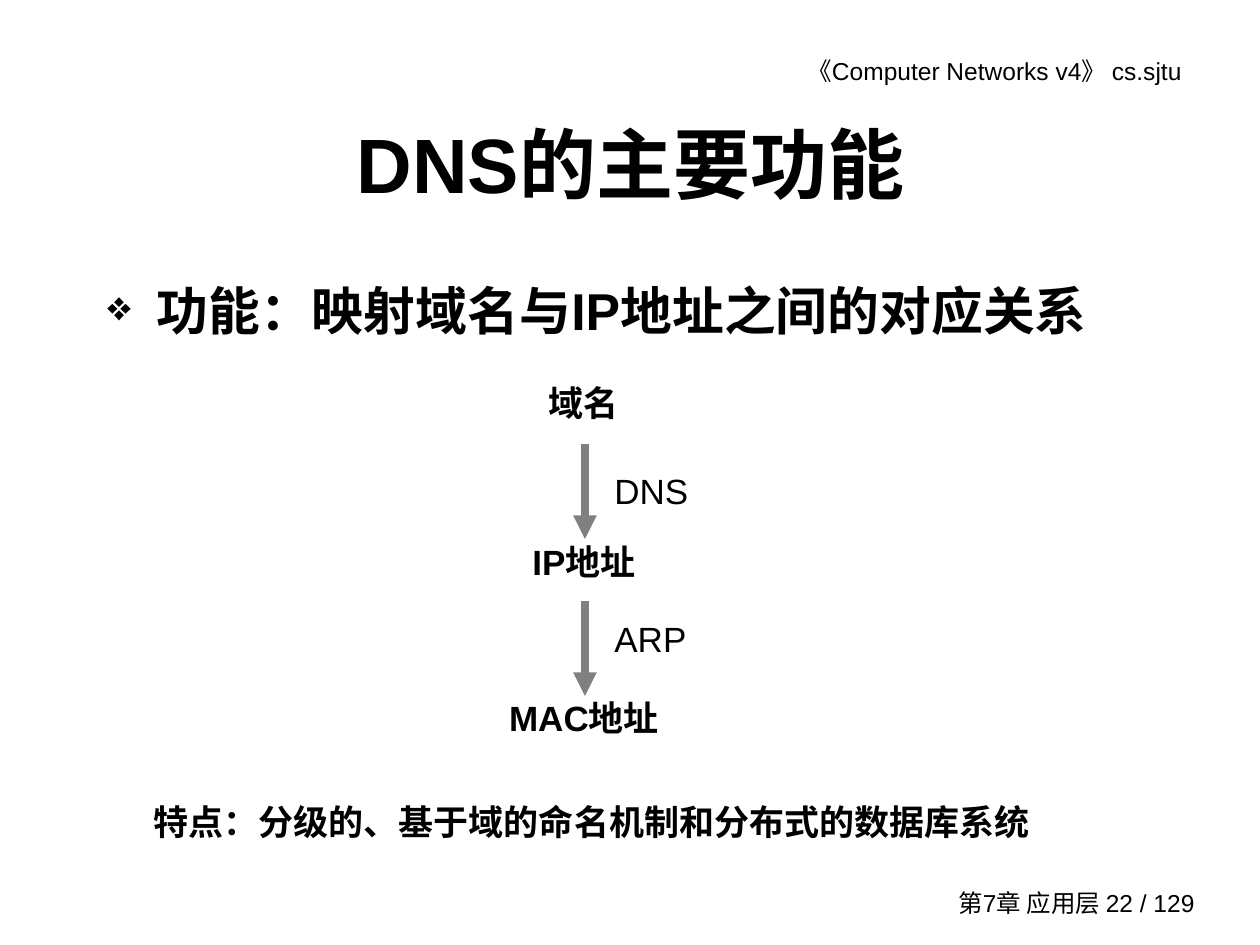
import pptx
import pptx.util
import pptx.dml.color
import pptx.enum.shapes
import pptx.enum.text
import pptx.oxml.ns
from lxml import etree

PX_PER_INCH = 126
FONT = "Arial"
BLACK = "000000"
GRAY = "808080"
ALIGN = pptx.enum.text.PP_ALIGN
ANCHOR = pptx.enum.text.MSO_ANCHOR


def px(length):
    return pptx.util.Emu(round(length * 914400 / PX_PER_INCH))


def color(hex_value):
    return pptx.dml.color.RGBColor.from_string(hex_value)


def add_element(parent, tag, **attributes):
    return etree.SubElement(parent, pptx.oxml.ns.qn(tag), attributes)


def add_line_of_text(paragraph, text, size, bold=False, align=ALIGN.LEFT):
    paragraph.alignment = align
    run = paragraph.add_run()
    run.text = text
    run.font.name = FONT
    run.font.size = pptx.util.Pt(size)
    run.font.bold = bold
    run.font.color.rgb = color(BLACK)


def add_frame(shapes, left, top, width, height, anchor=ANCHOR.TOP):
    frame = shapes.add_textbox(px(left), px(top), px(width), px(height)).text_frame
    frame.word_wrap = True
    frame.vertical_anchor = anchor
    return frame


def add_text(shapes, box, text, size, bold=False, align=ALIGN.LEFT, anchor=ANCHOR.TOP):
    frame = add_frame(shapes, *box, anchor=anchor)
    add_line_of_text(frame.paragraphs[0], text, size, bold, align)


def add_bullet_text(shapes, box, text, size, indent):
    paragraph = add_frame(shapes, *box).paragraphs[0]
    properties = paragraph._p.get_or_add_pPr()
    properties.set("marL", str(px(indent)))
    properties.set("indent", str(-px(indent)))
    bullet_color = add_element(properties, "a:buClr")
    add_element(bullet_color, "a:srgbClr", val=BLACK)
    add_element(properties, "a:buSzPct", val="80000")
    add_element(properties, "a:buChar", char="❖")
    add_line_of_text(paragraph, text, size, bold=True)


def add_stages(shapes, box, stages):
    """Stack centred stage names; each comes with its space before in points."""
    frame = add_frame(shapes, *box)
    for index, (name, space_before) in enumerate(stages):
        paragraph = frame.add_paragraph() if index else frame.paragraphs[0]
        paragraph.space_before = pptx.util.Pt(space_before)
        if index < len(stages) - 1:
            paragraph.line_spacing = 0.96
        add_line_of_text(paragraph, name, 20, bold=True, align=ALIGN.CENTER)


def add_down_arrow(shapes, x, top, length):
    arrow = shapes.add_connector(
        pptx.enum.shapes.MSO_CONNECTOR.STRAIGHT, px(x), px(top), px(x), px(top + length))
    arrow.line.color.rgb = color(GRAY)
    arrow.line.width = pptx.util.Pt(4.5)
    add_element(arrow.line._get_or_add_ln(), "a:tailEnd", type="triangle")
    add_element(arrow._element.spPr, "a:effectLst")


def add_mapping_diagram(shapes):
    diagram = shapes.add_group_shape().shapes
    add_stages(diagram, (460, 378, 248, 388),
               [("域名", 0), ("IP地址", 68), ("MAC地址", 64.5)])
    # Each step down is an arrow with its protocol beside it
    for protocol, arrow_top, label_top in [("DNS", 444, 463), ("ARP", 601, 611)]:
        add_down_arrow(diagram, 585, arrow_top, 95)
        add_text(diagram, (602, label_top, 128, 51), protocol, 20)


def main():
    deck = pptx.Presentation()
    deck.slide_width, deck.slide_height = px(1260), px(945)
    shapes = deck.slides.add_slide(deck.slide_layouts[6]).shapes

    # Running header and footer
    add_text(shapes, (651, 50, 543, 43), "《Computer Networks v4》 cs.sjtu", 14,
             align=ALIGN.RIGHT)
    add_text(shapes, (922, 882, 285, 42), "第7章 应用层 22 / 129", 14,
             align=ALIGN.RIGHT, anchor=ANCHOR.MIDDLE)

    # Title and main point
    add_text(shapes, (95, 84, 1071, 158), "DNS的主要功能", 44, bold=True,
             align=ALIGN.CENTER, anchor=ANCHOR.MIDDLE)
    add_bullet_text(shapes, (95, 273, 1101, 126),
                    "功能：映射域名与IP地址之间的对应关系", 29.6, indent=49)

    # From name to address, then the closing remark
    add_mapping_diagram(shapes)
    add_text(shapes, (141, 794, 924, 55),
             "特点：分级的、基于域的命名机制和分布式的数据库系统", 20, bold=True)

    deck.save("out.pptx")


if __name__ == "__main__":
    main()
